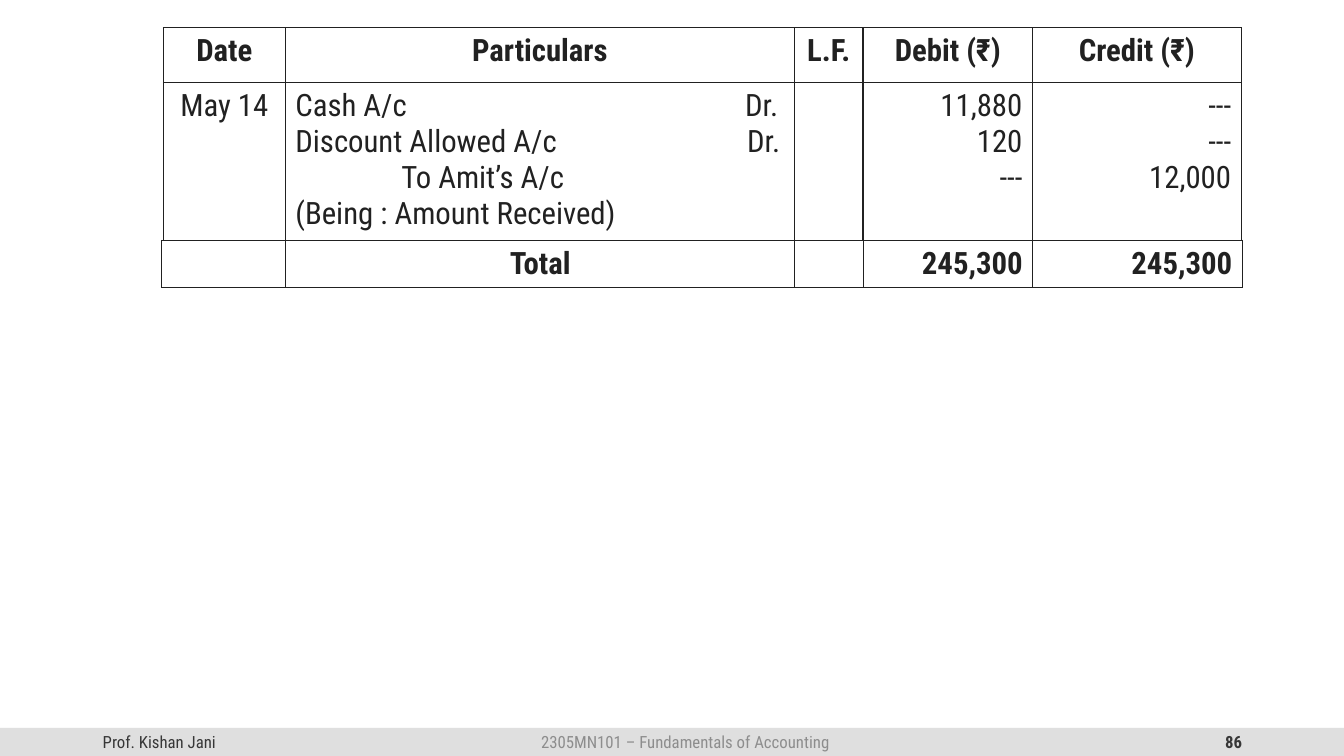
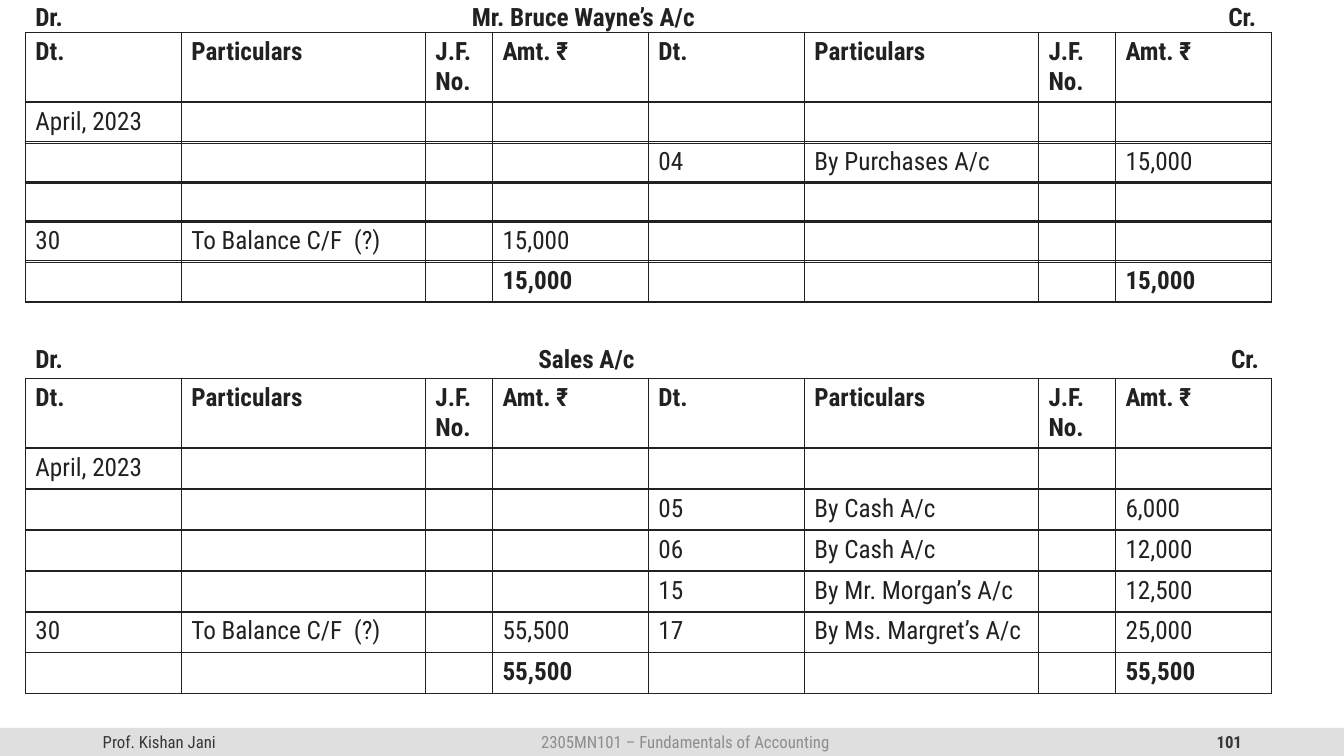
from dataclasses import dataclass, replace

from lxml import etree
from pptx import Presentation
from pptx.dml.color import RGBColor
from pptx.enum.shapes import MSO_SHAPE
from pptx.enum.text import MSO_ANCHOR, PP_ALIGN
from pptx.oxml.ns import qn
from pptx.slide import Slide
from pptx.table import _Cell
from pptx.text.text import TextFrame
from pptx.util import Cm, Length, Pt

LEFT, CENTER, RIGHT = PP_ALIGN.LEFT, PP_ALIGN.CENTER, PP_ALIGN.RIGHT
TOP, MIDDLE = MSO_ANCHOR.TOP, MSO_ANCHOR.MIDDLE
RECTANGLE = MSO_SHAPE.RECTANGLE

INK = RGBColor(0x21, 0x21, 0x21)
FOOTER_INK = RGBColor(0x37, 0x37, 0x37)
FOOTER_MUTED = RGBColor(0x8D, 0x8D, 0x8D)
FOOTER_BAND = RGBColor(0xDF, 0xDF, 0xDF)

JOURNAL_FONT = {"name": "Roboto Condensed", "size": Pt(22), "bold": False}
LEDGER_FONT = {**JOURNAL_FONT, "size": Pt(18)}
FOOTER_FONT = {**JOURNAL_FONT, "size": Pt(12)}
BOLD = {"bold": True}

SLIDE_WIDTH, SLIDE_HEIGHT = Cm(33.87), Cm(19.05)
FOOTER_TOP, FOOTER_HEIGHT = Cm(18.34), Cm(0.71)
BORDER_WIDTH = Pt(1)

LEDGER_LEFT = Cm(0.64)
DEBIT_COLUMNS = [Cm(width) for width in (3.93, 6.15, 1.69, 3.93)]
CREDIT_COLUMNS = [Cm(width) for width in (3.93, 5.9, 1.94, 3.93)]
LEDGER_COLUMNS = DEBIT_COLUMNS + CREDIT_COLUMNS
CREDIT_LEFT = Length(LEDGER_LEFT + sum(DEBIT_COLUMNS))
LEDGER_HEADINGS = ("Dt.", "Particulars", "J.F.\nNo.", "Amt. ₹") * 2
LEDGER_HEADER_HEIGHT = Cm(1.76)
LEDGER_ROW_HEIGHT = Cm(1.04)
CAPTION_HEIGHT = Cm(1.02)
NO_ENTRY = ("", "", "", "")


@dataclass(frozen=True)
class Line:
    text: str
    align: PP_ALIGN = LEFT
    indent: Length = Cm(0)
    tabs: tuple[tuple[Length, str], ...] = ()


@dataclass(frozen=True)
class Entry:
    lines: tuple[Line, ...]
    font: dict


@dataclass(frozen=True)
class Grid:
    left: Length
    top: Length
    columns: list[Length]
    heights: list[Length]
    rows: list[list[Entry]]


@dataclass(frozen=True)
class Ledger:
    caption: Line
    caption_top: Length
    top: Length
    row_pitch: Length
    entries: list[tuple[tuple[str, ...], tuple[str, ...]]]
    total: str


@dataclass(frozen=True)
class FooterText:
    line: Line
    left: Length
    width: Length
    font: dict
    color: RGBColor


def entry(text: str, font: dict, align: PP_ALIGN = LEFT) -> Entry:
    lines = tuple(Line(part, align) for part in text.split("\n")) if text else ()
    return Entry(lines, font)


def write_lines(text_frame: TextFrame, lines: tuple[Line, ...], font: dict, color: RGBColor) -> None:
    for index, line in enumerate(lines):
        paragraph = text_frame.add_paragraph() if index else text_frame.paragraphs[0]
        paragraph.alignment = line.align
        properties = paragraph._p.get_or_add_pPr()
        if line.indent:
            properties.set("marL", str(line.indent))
            properties.set("indent", "0")
        if line.tabs:
            tab_list = etree.SubElement(properties, qn("a:tabLst"))
            for position, kind in line.tabs:
                etree.SubElement(tab_list, qn("a:tab"), pos=str(position), algn=kind)
        run = paragraph.add_run()
        run.text = line.text
        for name, value in font.items():
            setattr(run.font, name, value)
        run.font.color.rgb = color


def add_text(slide: Slide, left: Length, top: Length, width: Length, height: Length,
             line: Line, font: dict, color: RGBColor, anchor: MSO_ANCHOR) -> None:
    text_frame = slide.shapes.add_textbox(left, top, width, height).text_frame
    text_frame.word_wrap = True
    text_frame.vertical_anchor = anchor
    write_lines(text_frame, (line,), font, color)


def add_borders(cell: _Cell) -> None:
    properties = cell._tc.get_or_add_tcPr()
    for side in ("lnL", "lnR", "lnT", "lnB"):
        border = etree.SubElement(properties, qn(f"a:{side}"), w=str(BORDER_WIDTH))
        fill = etree.SubElement(border, qn("a:solidFill"))
        etree.SubElement(fill, qn("a:srgbClr"), val=str(INK))


def add_grid(slide: Slide, grid: Grid) -> None:
    table = slide.shapes.add_table(
        len(grid.rows), len(grid.columns), grid.left, grid.top,
        Length(sum(grid.columns)), Length(sum(grid.heights))).table
    table.first_row = False
    table.horz_banding = False
    for column, width in zip(table.columns, grid.columns):
        column.width = width
    for row, height, contents in zip(table.rows, grid.heights, grid.rows):
        row.height = height
        for cell, content in zip(row.cells, contents):
            add_borders(cell)
            cell.fill.background()
            write_lines(cell.text_frame, content.lines, content.font, INK)


def add_footer(slide: Slide, number: str) -> None:
    band = slide.shapes.add_shape(RECTANGLE, 0, FOOTER_TOP, SLIDE_WIDTH, FOOTER_HEIGHT)
    band.shadow.inherit = False
    band.fill.solid()
    band.fill.fore_color.rgb = FOOTER_BAND
    band.line.fill.background()
    texts = (
        FooterText(Line("Prof. Kishan Jani"), Cm(2.34), Cm(7.62), FOOTER_FONT, FOOTER_INK),
        FooterText(Line("2305MN101 – Fundamentals of Accounting", CENTER),
                   Cm(10.62), Cm(13.31), FOOTER_FONT, FOOTER_MUTED),
        FooterText(Line(number, RIGHT), Cm(23.93), Cm(7.62), FOOTER_FONT | BOLD, FOOTER_INK),
    )
    for text in texts:
        add_text(slide, text.left, FOOTER_TOP, text.width, FOOTER_HEIGHT,
                 text.line, text.font, text.color, MIDDLE)


def add_ledger_row(slide: Slide, left: Length, top: Length, columns: list[Length],
                   height: Length, texts: tuple[str, ...], font: dict) -> None:
    row = [entry(text, font) for text in texts]
    add_grid(slide, Grid(left, top, columns, [height], [row]))


def add_ledger(slide: Slide, ledger: Ledger) -> None:
    heading_font = LEDGER_FONT | BOLD
    add_text(slide, LEDGER_LEFT, ledger.caption_top, Length(sum(LEDGER_COLUMNS)),
             CAPTION_HEIGHT, ledger.caption, heading_font, INK, TOP)
    add_ledger_row(slide, LEDGER_LEFT, ledger.top, LEDGER_COLUMNS,
                   LEDGER_HEADER_HEIGHT, LEDGER_HEADINGS, heading_font)
    total = ("", "", "", ledger.total)
    rows = [(debit, credit, LEDGER_FONT) for debit, credit in ledger.entries]
    rows.append((total, total, heading_font))
    for index, (debit, credit, font) in enumerate(rows):
        top = Length(ledger.top + LEDGER_HEADER_HEIGHT + index * ledger.row_pitch)
        add_ledger_row(slide, LEDGER_LEFT, top, DEBIT_COLUMNS, LEDGER_ROW_HEIGHT, debit, font)
        add_ledger_row(slide, CREDIT_LEFT, top, CREDIT_COLUMNS, LEDGER_ROW_HEIGHT, credit, font)


def build_journal(slide: Slide) -> None:
    heading_font = JOURNAL_FONT | BOLD
    headings = ("Date", "Particulars", "L.F.", "Debit (₹)", "Credit (₹)")
    particulars = (
        Line("Cash A/c\tDr.", tabs=((Cm(12.17), "r"),)),
        Line("Discount Allowed A/c\tDr.", tabs=((Cm(12.22), "r"),)),
        Line("To Amit’s A/c", indent=Cm(2.67)),
        Line("(Being : Amount Received)"),
    )
    journal = Grid(
        Cm(4.12), Cm(0.7),
        [Cm(width) for width in (3.07, 12.83, 1.73, 4.27, 5.26)],
        [Cm(1.39), Cm(3.86)],
        [
            [entry(text, heading_font, CENTER) for text in headings],
            [
                entry("May 14", JOURNAL_FONT, CENTER),
                Entry(particulars, JOURNAL_FONT),
                entry("", JOURNAL_FONT),
                entry("11,880\n120\n---", JOURNAL_FONT, RIGHT),
                entry("---\n---\n12,000", JOURNAL_FONT, RIGHT),
            ],
        ])
    totals = (("", LEFT), ("Total", CENTER), ("", LEFT), ("245,300", RIGHT), ("245,300", RIGHT))
    total = replace(
        journal, left=Cm(4.08), top=Cm(6.06),
        columns=[Cm(3.12), *journal.columns[1:4], Cm(5.28)],
        heights=[Cm(1.16)],
        rows=[[entry(text, heading_font, align) for text, align in totals]])
    add_grid(slide, journal)
    add_grid(slide, total)


def build_ledgers(slide: Slide) -> None:
    opening = (("April, 2023", "", "", ""), NO_ENTRY)
    supplier_caption = Line("Dr.\tMr. Bruce Wayne’s A/c\tCr.",
                            tabs=((Cm(13.81), "ctr"), (Cm(30.77), "r")))
    sales_caption = Line("Dr.\tSales A/c\tCr.", tabs=((Cm(13.89), "ctr"), (Cm(30.84), "r")))
    ledgers = (
        Ledger(supplier_caption, Cm(-0.1), Cm(0.81), Cm(1), [
            opening,
            (NO_ENTRY, ("04", "By Purchases A/c", "", "15,000")),
            (NO_ENTRY, NO_ENTRY),
            (("30", "To Balance C/F  (?)", "", "15,000"), NO_ENTRY),
        ], "15,000"),
        Ledger(sales_caption, Cm(8.53), Cm(9.53), Cm(1.03), [
            opening,
            (NO_ENTRY, ("05", "By Cash A/c", "", "6,000")),
            (NO_ENTRY, ("06", "By Cash A/c", "", "12,000")),
            (NO_ENTRY, ("15", "By Mr. Morgan’s A/c", "", "12,500")),
            (("30", "To Balance C/F  (?)", "", "55,500"),
             ("17", "By Ms. Margret’s A/c", "", "25,000")),
        ], "55,500"),
    )
    for ledger in ledgers:
        add_ledger(slide, ledger)


def main() -> None:
    presentation = Presentation()
    presentation.slide_width = SLIDE_WIDTH
    presentation.slide_height = SLIDE_HEIGHT
    blank_layout = presentation.slide_layouts[6]
    for number, build in (("86", build_journal), ("101", build_ledgers)):
        slide = presentation.slides.add_slide(blank_layout)
        add_footer(slide, number)
        build(slide)
    presentation.save("out.pptx")


if __name__ == "__main__":
    main()
